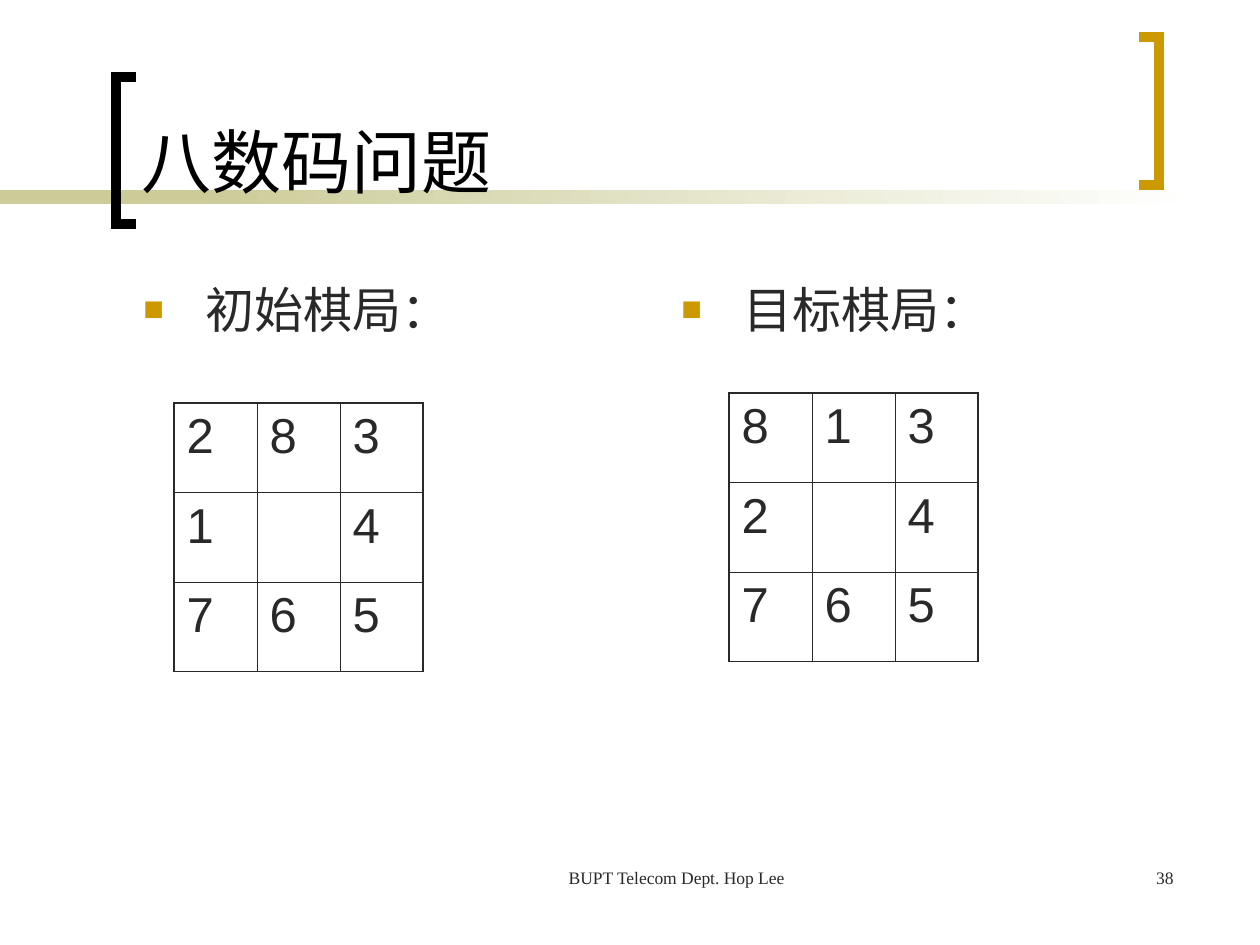
from lxml import etree
from pptx import Presentation
from pptx.dml.color import RGBColor
from pptx.enum.text import MSO_ANCHOR, MSO_AUTO_SIZE, PP_ALIGN
from pptx.enum.shapes import MSO_SHAPE
from pptx.oxml.ns import qn
from pptx.util import Pt

LEFT, CENTER, RIGHT = PP_ALIGN.LEFT, PP_ALIGN.CENTER, PP_ALIGN.RIGHT
TOP, BOTTOM = MSO_ANCHOR.TOP, MSO_ANCHOR.BOTTOM
RECTANGLE, NO_AUTOFIT = MSO_SHAPE.RECTANGLE, MSO_AUTO_SIZE.NONE

BLACK = RGBColor(0x00, 0x00, 0x00)
WHITE = RGBColor(0xFF, 0xFF, 0xFF)
INK = RGBColor(0x29, 0x29, 0x29)
GOLD = RGBColor(0xCC, 0x99, 0x00)
SAGE = RGBColor(0xCC, 0xCC, 0x99)

TITLE = ("八数码问题", (129, 14, 987, 195))
BOARDS = [
    ("初始棋局：", (131, 273, 518, 567), (174, 403), ["283", "1 4", "765"]),
    ("目标棋局：", (669, 273, 518, 567), (729, 393), ["813", "2 4", "765"]),
]
FOOTERS = [
    ("BUPT Telecom Dept. Hop Lee", (462, 861, 399, 63), CENTER),
    ("38", (924, 861, 262, 63), RIGHT),
]
BANDS = [((0, 190, 294, 14), (SAGE, SAGE)), ((199, 190, 998, 14), (SAGE, WHITE))]
BRACKETS = [
    ([(136, 224), (116, 224), (116, 77), (136, 77)], BLACK),
    ([(1139, 37), (1159, 37), (1159, 185), (1139, 185)], GOLD),
]
CELL_WIDTH, CELL_HEIGHT = 83, 89.5
OUTER_LINE, INNER_LINE = Pt(1.08), Pt(0.45)

TITLE_FONT = {"size": Pt(40), "name": "Arial"}
BODY_FONT = {"size": Pt(28), "name": "Arial"}
FOOTER_FONT = {"size": Pt(10), "name": "Times New Roman"}

EMU_PER_PX = 914400 / 126


def emu(px):
    return round(px * EMU_PER_PX)


def add_xml(parent, tag, **attributes):
    return etree.SubElement(parent, qn(tag), attributes)


def format_font(paragraph, font_format, color):
    for name, value in font_format.items():
        setattr(paragraph.font, name, value)
    paragraph.font.color.rgb = color


def write(holder, text, font_format, color=INK, align=LEFT, anchor=TOP,
          margin=0, hanging=0, bullet=None):
    frame = holder.text_frame
    frame.word_wrap = True
    frame.auto_size = NO_AUTOFIT
    frame.vertical_anchor = anchor
    frame.text = text
    paragraph = frame.paragraphs[0]
    paragraph.alignment = align
    properties = paragraph._p.get_or_add_pPr()
    properties.set("marL", str(emu(margin)))
    properties.set("indent", str(-emu(hanging)))
    if bullet:
        bullet_color = add_xml(properties, "a:buClr")
        add_xml(bullet_color, "a:srgbClr", val=str(GOLD))
        add_xml(properties, "a:buSzPct", val="70000")
        add_xml(properties, "a:buFont", typeface="Arial")
        add_xml(properties, "a:buChar", char=bullet)
    format_font(paragraph, font_format, color)


def add_band(shapes, box, colors):
    band = shapes.add_shape(RECTANGLE, *map(emu, box))
    band.shadow.inherit = False
    band.line.fill.background()
    band.fill.gradient()
    band.fill.gradient_angle = 0
    for stop, color in zip(band.fill.gradient_stops, colors):
        stop.color.rgb = color


def add_bracket(shapes, points, color):
    builder = shapes.build_freeform(*points[0], scale=EMU_PER_PX)
    builder.add_line_segments(points[1:], close=False)
    bracket = builder.convert_to_shape()
    bracket.shadow.inherit = False
    bracket.fill.background()
    bracket.line.color.rgb = color
    bracket.line.width = Pt(6)
    add_xml(bracket.line._ln, "a:miter", lim="800000")


def add_border(cell, side, width):
    border = add_xml(cell._tc.get_or_add_tcPr(), side, w=str(width))
    fill = add_xml(border, "a:solidFill")
    add_xml(fill, "a:srgbClr", val=str(INK))


def add_board(shapes, corner, rows):
    count = len(rows)
    size = (CELL_WIDTH * count, CELL_HEIGHT * count)
    board = shapes.add_table(count, count, *map(emu, corner + size)).table
    board.first_row = board.horz_banding = False
    for r, row in enumerate(rows):
        for c, digit in enumerate(row):
            cell = board.cell(r, c)
            cell.text = digit.strip()
            format_font(cell.text_frame.paragraphs[0], BODY_FONT, INK)
            on_edge = {"a:lnL": c == 0, "a:lnR": c == count - 1,
                       "a:lnT": r == 0, "a:lnB": r == count - 1}
            for side, outer in on_edge.items():
                add_border(cell, side, OUTER_LINE if outer else INNER_LINE)
            cell.fill.background()


def main():
    deck = Presentation()
    deck.slide_width, deck.slide_height = emu(1260), emu(945)
    slide = deck.slides.add_slide(deck.slide_layouts[5])
    shapes = slide.shapes

    for box, colors in BANDS:
        add_band(shapes, box, colors)
    for points, color in BRACKETS:
        add_bracket(shapes, points, color)

    title = shapes.title
    text, box = TITLE
    title.left, title.top, title.width, title.height = map(emu, box)
    write(title, text, TITLE_FONT, BLACK, anchor=BOTTOM)
    shapes._spTree.append(title._element)

    for label, box, corner, rows in BOARDS:
        write(shapes.add_textbox(*map(emu, box)), label, BODY_FONT,
              margin=62, hanging=62, bullet="■")
        add_board(shapes, corner, rows)

    for text, box, align in FOOTERS:
        write(shapes.add_textbox(*map(emu, box)), text, FOOTER_FONT,
              align=align, margin=30)

    deck.save("out.pptx")


if __name__ == "__main__":
    main()
